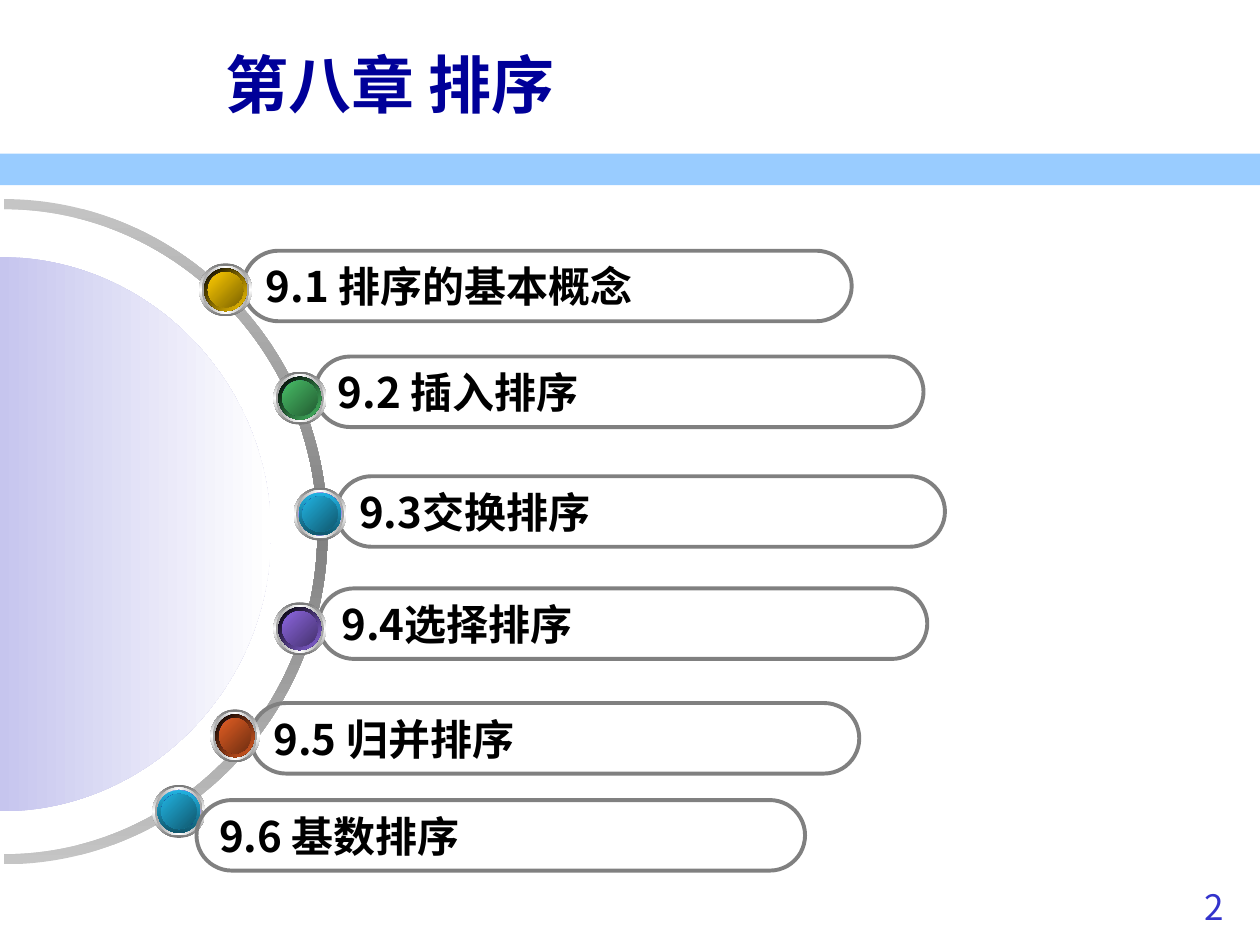
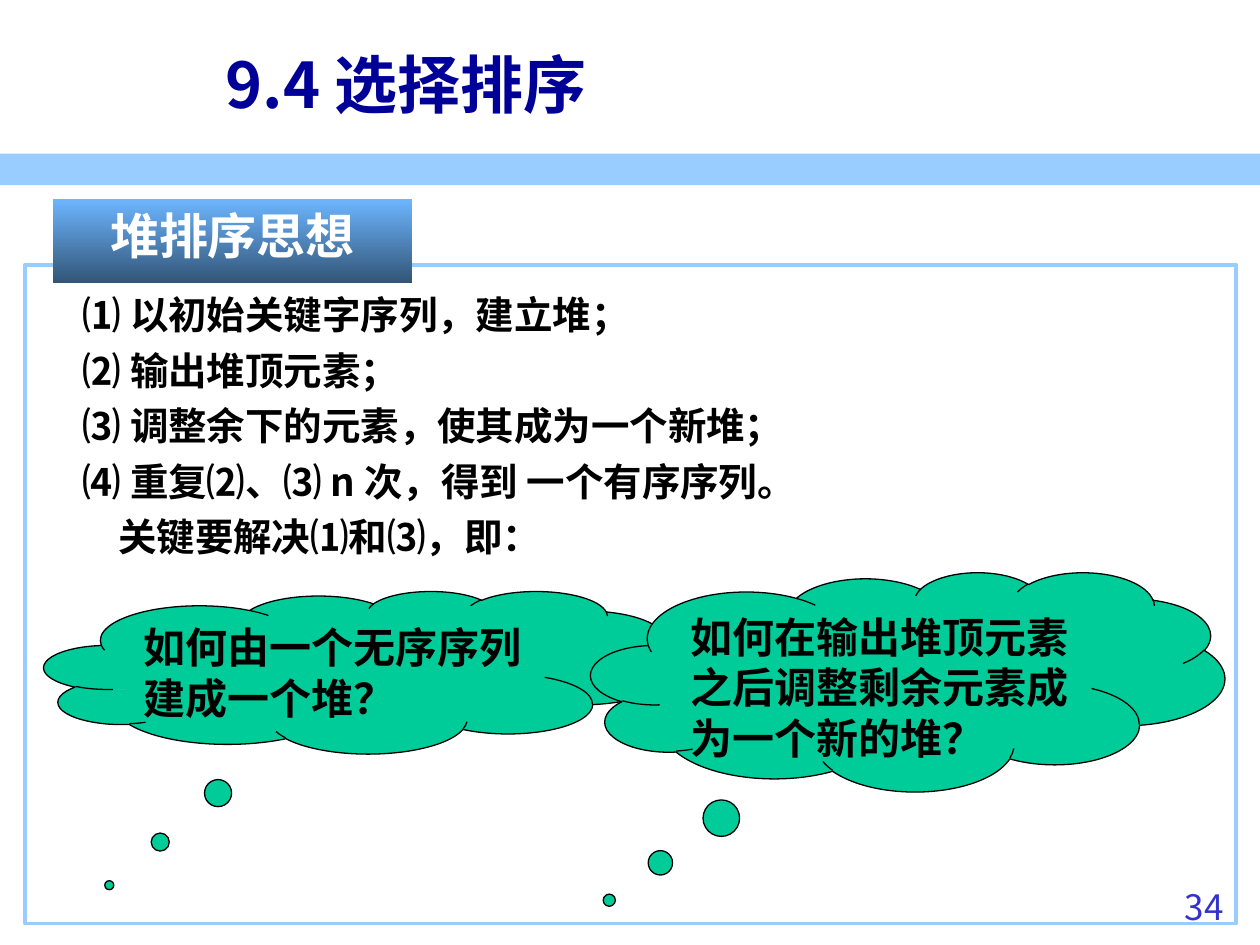
from lxml import etree
from pptx import Presentation
from pptx.dml.color import RGBColor
from pptx.enum.shapes import MSO_SHAPE
from pptx.enum.text import MSO_ANCHOR, MSO_AUTO_SIZE, PP_ALIGN
from pptx.oxml.ns import qn
from pptx.util import Inches, Pt

RECT, OVAL = MSO_SHAPE.RECTANGLE, MSO_SHAPE.OVAL
PILL, CLOUD = MSO_SHAPE.ROUNDED_RECTANGLE, MSO_SHAPE.CLOUD_CALLOUT
TOP, MIDDLE = MSO_ANCHOR.TOP, MSO_ANCHOR.MIDDLE
LEFT, CENTER, RIGHT = PP_ALIGN.LEFT, PP_ALIGN.CENTER, PP_ALIGN.RIGHT
FIXED = MSO_AUTO_SIZE.NONE

FONT, TAB_FONT = "Noto Sans CJK SC", "Noto Sans CJK KR"
BLACK = RGBColor(0x00, 0x00, 0x00)
WHITE = RGBColor(0xFF, 0xFF, 0xFF)
SKY = RGBColor(0x99, 0xCC, 0xFF)
NAVY = RGBColor(0x00, 0x00, 0x99)
BLUE = RGBColor(0x33, 0x33, 0xCC)
INK = RGBColor(0x1C, 0x1C, 0x6E)
TEAL = RGBColor(0x00, 0xCC, 0x99)
GREY = RGBColor(0x80, 0x80, 0x80)
SILVER = RGBColor(0xC5, 0xC5, 0xC5)
STEEL = RGBColor(0x76, 0x76, 0x76)
ASH = RGBColor(0xA2, 0xA2, 0xA2)
LILAC = RGBColor(0xC6, 0xC5, 0xEE)
TAB_TOP = RGBColor(0x6D, 0xB6, 0xFF)
TAB_LOW = RGBColor(0x32, 0x54, 0x76)
GOLD = RGBColor(0xFF, 0xCC, 0x00), RGBColor(0x7C, 0x63, 0x00)
GREEN = RGBColor(0x48, 0xBE, 0x67), RGBColor(0x23, 0x5C, 0x32)
CYAN = RGBColor(0x21, 0xB3, 0xE1), RGBColor(0x10, 0x57, 0x6D)
VIOLET = RGBColor(0x8D, 0x67, 0xE1), RGBColor(0x45, 0x32, 0x6D)
RUST = RGBColor(0xE3, 0x5E, 0x23), RGBColor(0x6E, 0x2E, 0x11)

TITLE = {"size": Pt(36), "bold": True, "color": NAVY}
ITEM = {"size": Pt(24), "bold": True, "color": BLACK}
BODY = {"size": Pt(22), "bold": True, "color": BLACK}
TAB = {"size": Pt(28), "bold": True, "color": WHITE, "name": TAB_FONT}
NUMBER = {"size": Pt(20), "bold": False, "color": BLUE}

TOPICS = [
    ("9.1 排序的基本概念", (1.93, 1.99), (1.58, 2.09), 0.42, GOLD),
    ("9.2 插入排序", (2.5, 2.83), (2.17, 2.95), 0.42, GREEN),
    ("9.3交换排序", (2.67, 3.78), (2.33, 3.87), 0.42, CYAN),
    ("9.4选择排序", (2.53, 4.67), (2.17, 4.78), 0.42, VIOLET),
    ("9.5 归并排序", (1.99, 5.58), (1.67, 5.63), 0.39, RUST),
    ("9.6 基数排序", (1.56, 6.35), (1.21, 6.23), 0.42, CYAN),
]
STEPS = [
    ("⑴ 以初始关键字序列，建立堆；", 0.28),
    ("⑵ 输出堆顶元素；", 0.28),
    ("⑶ 调整余下的元素，使其成为一个新堆；", 0.28),
    ("⑷ 重复⑵、⑶ n 次，得到 一个有序序列。", 0.28),
    ("关键要解决⑴和⑶，即：", 0.56),
]
CLOUDS = [
    ("如何由一个无序序列建成一个堆？", (0.15, 2.59, 5.03, 1.29), (-0.397, 1.31)),
    ("如何在输出堆顶元素之后调整剩余元素成为一个新的堆？",
     (4.49, 2.44, 5.03, 1.74), (-0.471, 0.997)),
]


def inch(box):
    """Turn a tuple of inches into lengths."""
    return [Inches(v) for v in box]


def blend(shape, stops, angle):
    """Fill a shape with evenly spaced colours, angle counted clockwise."""
    shape.fill.gradient()
    shape.fill.gradient_angle = (360 - angle) % 360
    chain = next(shape._element.spPr.iter(qn("a:gsLst")))
    for old in list(chain):
        chain.remove(old)
    for i, color in enumerate(stops):
        pos = str(100000 * i // (len(stops) - 1))
        stop = etree.SubElement(chain, qn("a:gs"), pos=pos)
        etree.SubElement(stop, qn("a:srgbClr"), val=str(color))


def paint(shape, fill=None, line=None, width=0.75):
    """Set plain fill and line and drop the shadow."""
    shape.shadow.inherit = False
    if fill is None:
        shape.fill.background()
    else:
        shape.fill.solid()
        shape.fill.fore_color.rgb = fill
    if line is None:
        shape.line.fill.background()
    else:
        shape.line.color.rgb = line
        shape.line.width = Pt(width)
    return shape


def draw(shapes, kind, box, **look):
    """Add a painted preset shape."""
    return paint(shapes.add_shape(kind, *inch(box)), **look)


def write(shape, rows, style, align=LEFT, anchor=TOP):
    """Write (text, indent) rows in one style."""
    frame = shape.text_frame
    setup = {"word_wrap": True, "auto_size": FIXED, "vertical_anchor": anchor}
    for key, value in setup.items():
        setattr(frame, key, value)
    for i, (text, dent) in enumerate(rows):
        para = frame.add_paragraph() if i else frame.paragraphs[0]
        para.alignment = align
        if dent:
            para.line_spacing = 1.2
            para._p.get_or_add_pPr().set("marL", str(Inches(dent)))
        run = para.add_run()
        run.text = text
        look = {"name": FONT, **style}
        run.font.color.rgb = look.pop("color")
        for key, value in look.items():
            setattr(run.font, key, value)
        etree.SubElement(run._r.rPr, qn("a:ea"), typeface=look["name"])


def start(deck, title, number):
    """Add a slide with its band, title and number."""
    slide = deck.slides.add_slide(deck.slide_layouts[5])
    draw(slide.shapes, RECT, (0, 1.22, 10.01, 0.25), fill=SKY)
    head = slide.shapes.title
    head.left, head.top, head.width, head.height = inch((1.69, 0.2, 8.19, 0.92))
    write(head, [(title, 0)], TITLE, anchor=MIDDLE)
    foot = slide.shapes.add_textbox(*inch((8.86, 6.98, 0.95, 0.52)))
    write(foot, [(number, 0)], NUMBER, align=RIGHT)
    return slide


def arc(mid, rx, ry):
    """List nodes and handles of a right half ellipse from top to bottom."""
    bend = 0.55
    ratios = [(0, -1), (bend, -1), (1, -bend), (1, 0),
              (1, bend), (bend, 1), (0, 1)]
    return [(Inches(mid[0] + rx * u), Inches(mid[1] + ry * v))
            for u, v in ratios]


def outline(shapes, arcs, stops, angle):
    """Add a closed outline of curved arcs with a blended fill."""
    nodes = [spot for bow in arcs for spot in bow[::3]]
    pen = shapes.build_freeform(*nodes[0])
    pen.add_line_segments(nodes[1:], close=True)
    shape = paint(pen.convert_to_shape())
    track = next(shape._element.spPr.iter(qn("a:path")))
    for old in list(track):
        track.remove(old)
    for i, bow in enumerate(arcs):
        moves = [("a:lnTo" if i else "a:moveTo", bow[:1]),
                 ("a:cubicBezTo", bow[1:4]), ("a:cubicBezTo", bow[4:])]
        for tag, spots in moves:
            move = etree.SubElement(track, qn(tag))
            for x, y in spots:
                etree.SubElement(move, qn("a:pt"), x=str(x - shape.left),
                                 y=str(y - shape.top))
    etree.SubElement(track, qn("a:close"))
    blend(shape, stops, angle)


def dial(shapes, mid):
    """Draw the half ring and the half disc round a centre."""
    hub = mid[0] + 0.03, mid[1]
    ring = [arc(hub, 2.49, 2.56), arc(hub, 2.57, 2.64)[::-1]]
    outline(shapes, ring, (SILVER, GREY, SILVER), 90)
    disc = arc((mid[0], mid[1] + 0.02), 2.15, 2.2)
    outline(shapes, [disc], (LILAC, WHITE), 0)


def knob(shapes, spot, width, tones):
    """Draw a round knob of nested ovals."""
    group = shapes.add_group_shape()
    rim = (CYAN, 90) if tones is CYAN else ((BLACK, tones[0]), 45)
    layers = [(0, (STEEL, WHITE, STEEL), 90), (0.02, (ASH, WHITE, ASH), 0),
              (0.04, (WHITE, BLUE, WHITE), 45), (0.04, *rim),
              (0.07, (INK, BLUE, INK), 315), (0.07, tones, 45)]
    for gap, stops, angle in layers:
        box = (spot[0] + gap, spot[1] + gap, width - 2 * gap, 0.42 - 2 * gap)
        blend(draw(group.shapes, OVAL, box), stops, angle)


def pill(shapes, spot, text):
    """Draw one topic in a rounded frame."""
    shape = draw(shapes, PILL, (*spot, 4.83, 0.56), line=GREY, width=2.25)
    shape.adjustments[0] = 0.5
    write(shape, [(text, 0)], ITEM, anchor=MIDDLE)


def agenda(deck):
    """Build the chapter overview."""
    shapes = start(deck, "第八章 排序", "2").shapes
    dial(shapes, (0, 4.22))
    *upper, last = TOPICS
    for text, spot, *rest in upper[::-1]:
        pill(shapes, spot, text)
    for text, spot, *rest in TOPICS:
        knob(shapes, *rest)
    pill(shapes, last[1], last[0])


def panel(shapes, box):
    """Draw the framed steps with tab and thought clouds."""
    x, y = box[:2]
    draw(shapes, RECT, box, line=SKY, width=2.25)
    tab = draw(shapes, RECT, (x + 0.22, y - 0.52, 2.85, 0.67))
    blend(tab, (TAB_TOP, TAB_LOW), 90)
    write(tab, [("堆排序思想", 0)], TAB, align=CENTER)
    body = shapes.add_textbox(*inch((x + 0.08, y + 0.09, 8.75, 2.4)))
    write(body, STEPS, BODY)
    for text, (dx, dy, w, h), tip in CLOUDS:
        cloud = draw(shapes, CLOUD, (x + dx, y + dy, w, h), fill=TEAL, line=BLACK)
        for i, value in enumerate(tip):
            cloud.adjustments[i] = value
        write(cloud, [(text, 0)], ITEM)


def heap(deck):
    """Build the heap sort slide."""
    slide = start(deck, "9.4 选择排序", "34")
    panel(slide.shapes, (0.2, 2.1, 9.61, 5.23))


def main():
    """Build and save the deck."""
    deck = Presentation()
    deck.slide_width, deck.slide_height = Inches(10), Inches(7.5)
    agenda(deck)
    heap(deck)
    deck.save("out.pptx")


if __name__ == "__main__":
    main()
